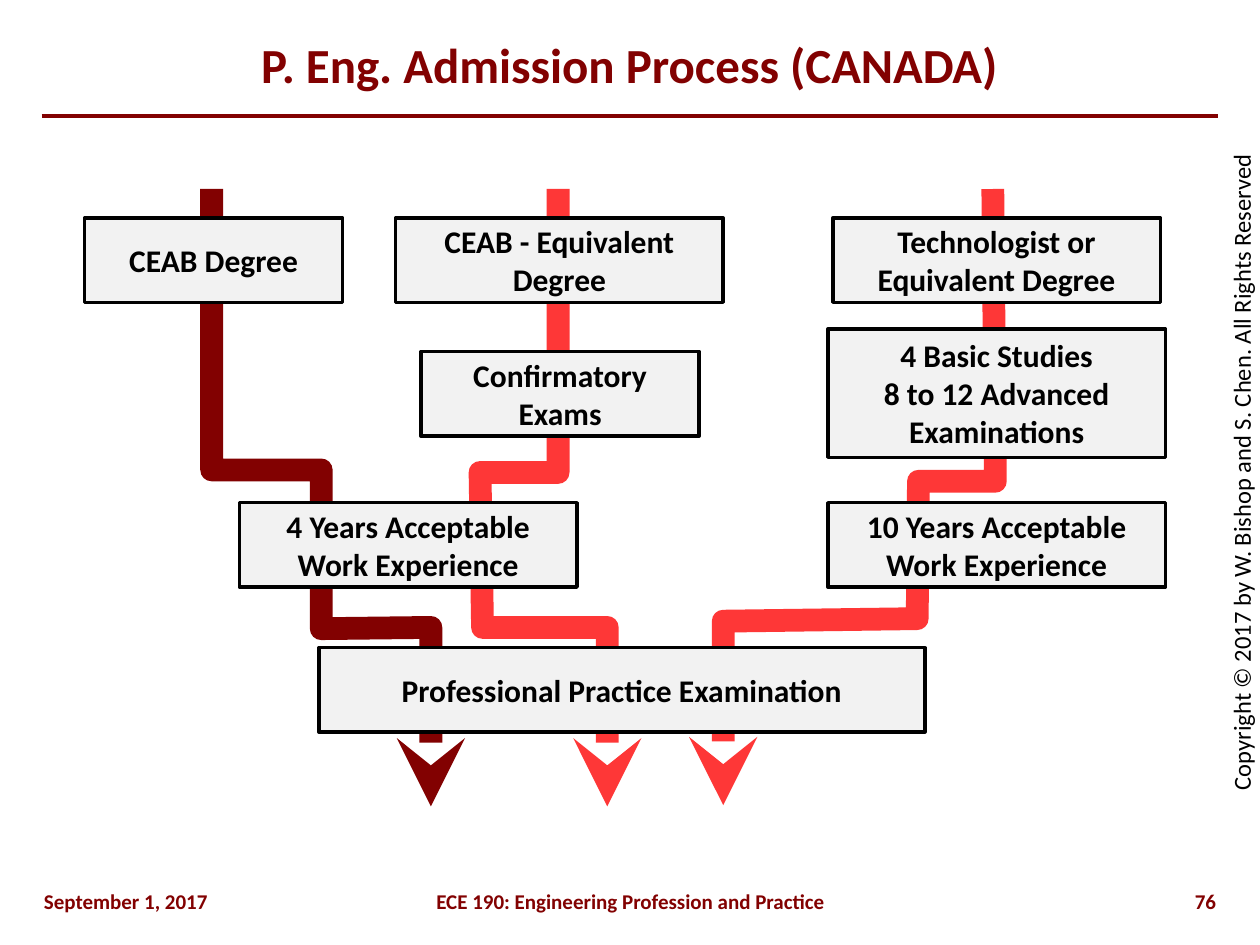
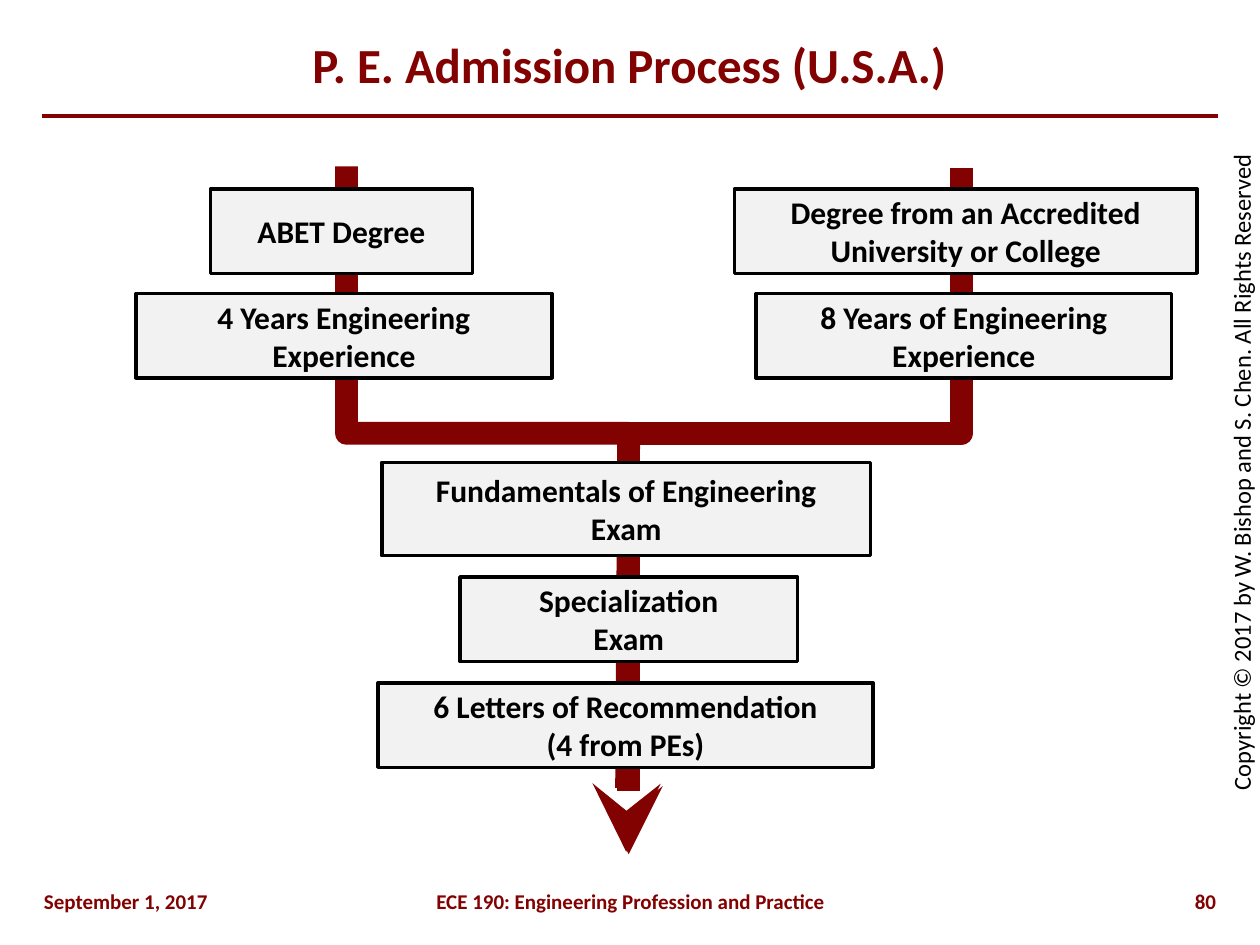
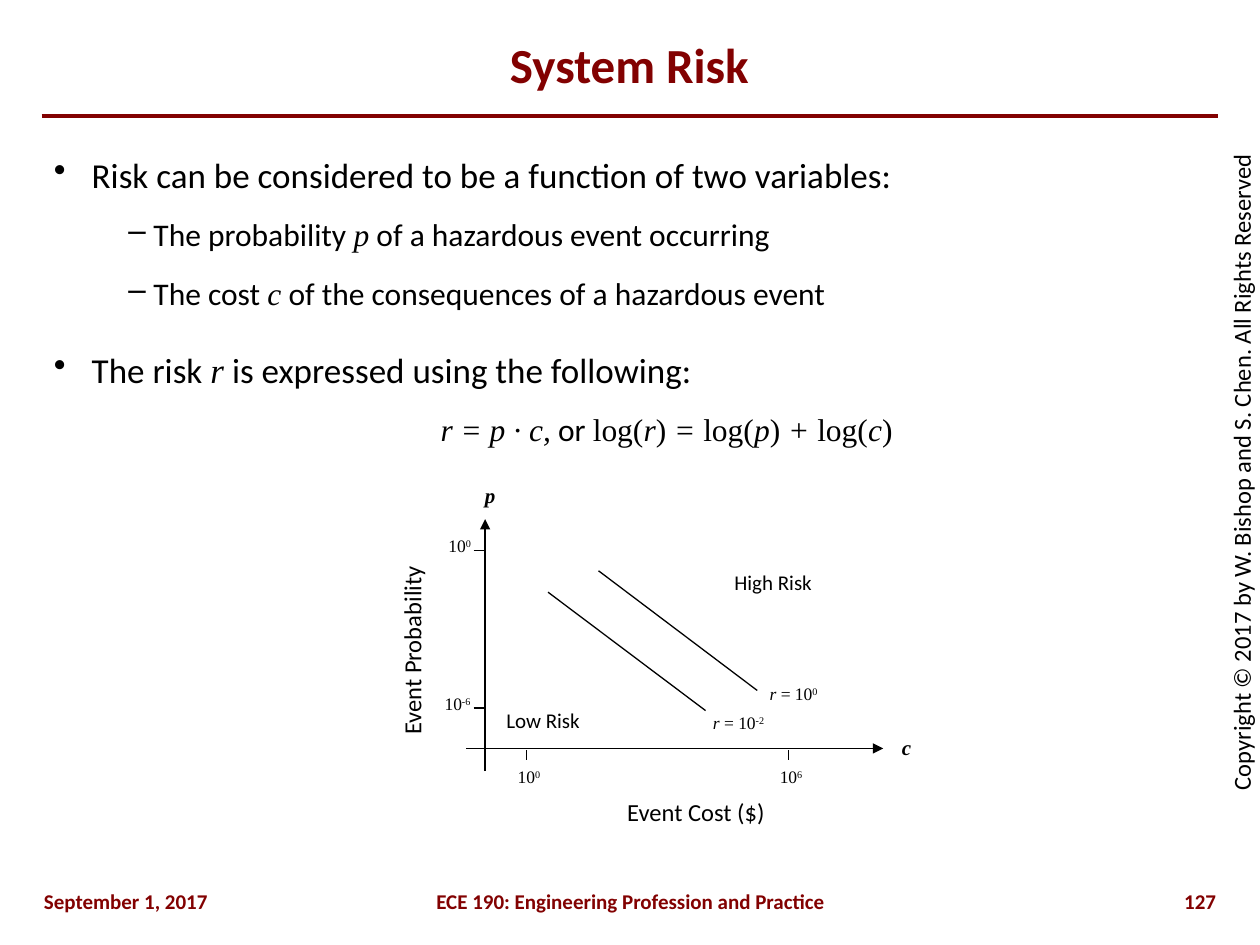
from lxml import etree
from pptx import Presentation
from pptx.dml.color import RGBColor
from pptx.enum.shapes import MSO_CONNECTOR, MSO_SHAPE
from pptx.enum.text import MSO_ANCHOR, PP_ALIGN
from pptx.oxml.ns import qn
from pptx.util import Inches, Pt

LEFT, CENTER, RIGHT = PP_ALIGN.LEFT, PP_ALIGN.CENTER, PP_ALIGN.RIGHT
TOP, MIDDLE = MSO_ANCHOR.TOP, MSO_ANCHOR.MIDDLE
STRAIGHT, RECTANGLE = MSO_CONNECTOR.STRAIGHT, MSO_SHAPE.RECTANGLE

MAROON, RED, BLACK, GREY = "820101", "FE3737", "000000", "F2F2F2"
SANS, SERIF = "Calibri", "Times New Roman"

ROMAN = {"font": SERIF}
MATH = {"font": SERIF, "italic": True}
SUPER = {"font": SERIF, "baseline": 30000}


def rgb(code):
    return RGBColor.from_string(code)


def add_run(p, text, size=18, font=SANS, color=BLACK, bold=False, italic=False, baseline=None):
    r = p.add_run()
    r.text = text
    r.font.size = Pt(size)
    r.font.name = font
    r.font.color.rgb = rgb(color)
    r.font.bold = bold
    r.font.italic = italic
    if baseline:
        r._r.get_or_add_rPr().set("baseline", str(baseline))


def write(p, runs, align=LEFT, **fmt):
    """Fill a paragraph from a string or a list of (text, format) pairs."""
    p.alignment = align
    if isinstance(runs, str):
        runs = [(runs, {})]
    for text, own in runs:
        add_run(p, text, **{**fmt, **own})


def add_text(s, left, top, width, height, runs, anchor=TOP, wrap=True, rotation=0, **fmt):
    sp = s.shapes.add_textbox(Inches(left), Inches(top), Inches(width), Inches(height))
    sp.rotation = rotation
    tf = sp.text_frame
    tf.word_wrap = wrap
    tf.vertical_anchor = anchor
    write(tf.paragraphs[0], runs, **fmt)


def style_line(line, color, width, head=None, rounded=False):
    line.color.rgb = rgb(color)
    line.width = Pt(width)
    ln = line._get_or_add_ln()
    if rounded:
        etree.SubElement(ln, qn("a:round"))
    if head:
        etree.SubElement(ln, qn("a:tailEnd"), type=head)


def add_line(s, x1, y1, x2, y2, color=BLACK, width=0.75, head=None):
    sp = s.shapes.add_connector(STRAIGHT, Inches(x1), Inches(y1), Inches(x2), Inches(y2))
    style_line(sp.line, color, width, head)
    etree.SubElement(sp._element.spPr, qn("a:effectLst"))


def add_route(s, color, points):
    """Draw a thick open path that ends in an arrowhead."""
    start, *rest = [(Inches(x), Inches(y)) for x, y in points]
    builder = s.shapes.build_freeform(*start)
    builder.add_line_segments(rest, close=False)
    sp = builder.convert_to_shape()
    sp.shadow.inherit = False
    sp.fill.background()
    style_line(sp.line, color, 13, "stealth", rounded=True)


def add_step(s, left, top, width, text, height=0.67):
    sp = s.shapes.add_shape(RECTANGLE, Inches(left), Inches(top), Inches(width), Inches(height))
    sp.shadow.inherit = False
    sp.fill.solid()
    sp.fill.fore_color.rgb = rgb(GREY)
    style_line(sp.line, BLACK, 2)
    tf = sp.text_frame
    tf.word_wrap = False
    tf.vertical_anchor = MIDDLE
    for i, line in enumerate(text.split("\n")):
        p = tf.add_paragraph() if i else tf.paragraphs[0]
        write(p, line, CENTER, bold=True)


def add_slide(prs, title, number):
    s = prs.slides.add_slide(prs.slide_layouts[6])
    add_line(s, 0.33, 0.92, 9.67, 0.92, MAROON, 2.25)
    add_text(s, 6.27, 3.58, 7.17, 0.34,
             "Copyright © 2017 by W. Bishop and S. Chen. All Rights Reserved",
             rotation=270, align=CENTER, size=14)
    add_text(s, 0.33, 0.17, 9.33, 0.67, title, anchor=MIDDLE, align=CENTER,
             size=28, color=MAROON, bold=True)
    footers = [(8.5, 1.25, str(number), RIGHT),
               (0.25, 1.75, "September 1, 2017", LEFT),
               (1.67, 6.67, "ECE 190: Engineering Profession and Practice", CENTER)]
    for left, width, text, align in footers:
        add_text(s, left, 7, width, 0.25, text, align=align, size=12, color=MAROON, bold=True)
    return s


def canada_slide(prs):
    s = add_slide(prs, "P. Eng. Admission Process (CANADA)", 76)
    add_route(s, RED, [(7.88, 1.5), (7.9, 3.82), (7.29, 3.82), (7.28, 4.91),
                       (5.74, 4.93), (5.74, 6.39)])
    add_route(s, RED, [(4.43, 1.5), (4.43, 3.75), (3.81, 3.75), (3.83, 4.98),
                       (4.82, 4.98), (4.82, 6.4)])
    add_route(s, MAROON, [(1.68, 1.5), (1.68, 3.73), (2.55, 3.73), (2.55, 4.99),
                          (3.42, 4.98), (3.42, 6.4)])
    add_step(s, 0.67, 1.73, 2.05, "CEAB Degree")
    add_step(s, 3.14, 1.73, 2.6, "CEAB - Equivalent\nDegree")
    add_step(s, 6.61, 1.73, 2.6, "Technologist or\nEquivalent Degree")
    add_step(s, 3.34, 2.79, 2.21, "Confirmatory\nExams")
    add_step(s, 1.9, 3.99, 2.68, "4 Years Acceptable\nWork Experience")
    add_step(s, 6.57, 2.61, 2.68, "4 Basic Studies\n8 to 12 Advanced\nExaminations", height=1.02)
    add_step(s, 6.57, 3.99, 2.68, "10 Years Acceptable\nWork Experience")
    add_step(s, 2.53, 5.14, 4.81, "Professional Practice Examination")


def usa_slide(prs):
    s = add_slide(prs, "P. E. Admission Process (U.S.A.)", 80)
    add_route(s, MAROON, [(2.75, 1.32), (2.75, 3.44), (4.99, 3.44), (4.97, 6.76)])
    add_route(s, MAROON, [(7.63, 1.33), (7.63, 3.44), (4.99, 3.44), (4.99, 6.78)])
    add_step(s, 5.83, 1.5, 3.67, "Degree from an Accredited\nUniversity or College")
    add_step(s, 3.03, 3.67, 3.88, "Fundamentals of Engineering\nExam", height=0.74)
    add_step(s, 1.08, 2.33, 3.3, "4 Years Engineering\nExperience")
    add_step(s, 3, 5.42, 3.93, "6 Letters of Recommendation\n(4 from PEs)")
    add_step(s, 3.65, 4.58, 2.68, "Specialization\nExam")
    add_step(s, 1.67, 1.5, 2.08, "ABET Degree")
    add_step(s, 6, 2.33, 3.3, "8 Years of Engineering\nExperience")


def add_body(s, items):
    """Add the outline from (level, bullet, alignment, runs) items."""
    sp = s.shapes.add_textbox(Inches(0.33), Inches(1.17), Inches(9.33), Inches(5.58))
    tf = sp.text_frame
    tf.word_wrap = True
    # size, space before, space after, margin, indent
    levels = [(20, 15, 5, 0.3, -0.3), (18, 6, 6, 0.79, -0.2)]
    for i, (level, bullet, align, runs) in enumerate(items):
        p = tf.add_paragraph() if i else tf.paragraphs[0]
        size, before, after, margin, indent = levels[level]
        p.level = level
        p.space_before = Pt(before if i else 0)
        p.space_after = Pt(after)
        pPr = p._p.get_or_add_pPr()
        pPr.set("marL", str(Inches(margin)))
        pPr.set("indent", str(Inches(indent)))
        if bullet:
            etree.SubElement(pPr, qn("a:buChar"), char=bullet)
        write(p, runs, align, size=size)


def add_label(s, left, top, width, runs, height=0.3, **fmt):
    add_text(s, left, top, width, height, runs, wrap=False, **fmt)


def power(exponent):
    return [("10", ROMAN), (exponent, SUPER)]


def add_risk_graph(s):
    origin_x, origin_y = 3.85, 5.94
    add_line(s, origin_x, 6.12, origin_x, 4.12, head="triangle")
    add_line(s, 3.7, origin_y, 7.01, origin_y, head="triangle")
    add_label(s, 3.75, 3.78, 0.29, [("p", MATH)], size=12, bold=True)
    add_label(s, 7.06, 5.78, 0.27, [("c", MATH)], size=12, bold=True)
    add_label(s, 5.73, 4.47, 0.85, "High Risk", size=12)
    add_label(s, 3.92, 5.57, 0.81, "Low Risk", size=12)
    add_label(s, 2.49, 4.98, 1.56, "Event Probability", height=0.34, size=14, rotation=270)
    add_label(s, 4.88, 6.28, 1.3, "Event Cost ($)", height=0.34, size=14)

    for y, exponent, width in [(4.37, "0", 0.39), (5.62, "-6", 0.42)]:
        add_line(s, origin_x - 0.09, y, origin_x, y)
        add_label(s, origin_x - width, y - 0.17, width, power(exponent), height=0.27, size=10)
    for x, exponent in [(4.18, "0"), (6.26, "6")]:
        add_line(s, x, 6.03, x, 5.95)
        add_label(s, x - 0.17, 6.03, 0.39, power(exponent), height=0.27, size=10)

    risk_lines = [((4.35, 4.7, 5.6, 5.64), (5.56, 5.6, 0.62), "-2"),
                  ((4.75, 4.53, 6.01, 5.48), (6.01, 5.37, 0.59), "0")]
    for ends, label_place, exponent in risk_lines:
        add_line(s, *ends)
        add_label(s, *label_place, [("r ", MATH), ("= ", ROMAN)] + power(exponent),
                  height=0.27, size=10)


def risk_slide(prs):
    s = add_slide(prs, "System Risk", 127)
    formula = [("r = p · c,", MATH), (" or ", {}), ("log(", ROMAN), ("r", MATH), (")", ROMAN),
               (" = ", MATH), ("log(", ROMAN), ("p", MATH), (")", ROMAN),
               (" + ", MATH), ("log(", ROMAN), ("c", MATH), (")", ROMAN)]
    add_body(s, [
        (0, "•", LEFT, "Risk can be considered to be a function of two variables:"),
        (1, "–", LEFT, [("The probability ", {}), ("p", MATH),
                        (" of a hazardous event occurring", {})]),
        (1, "–", LEFT, [("The cost ", {}), ("c", MATH),
                        (" of the consequences of a hazardous event", {})]),
        (0, "•", LEFT, [("The risk ", {}), ("r", MATH),
                        (" is expressed using the following:", {})]),
        (1, None, CENTER, formula),
    ])
    add_risk_graph(s)


def main():
    prs = Presentation()
    prs.slide_width, prs.slide_height = Inches(10), Inches(7.5)
    canada_slide(prs)
    usa_slide(prs)
    risk_slide(prs)
    prs.save("out.pptx")


if __name__ == "__main__":
    main()
